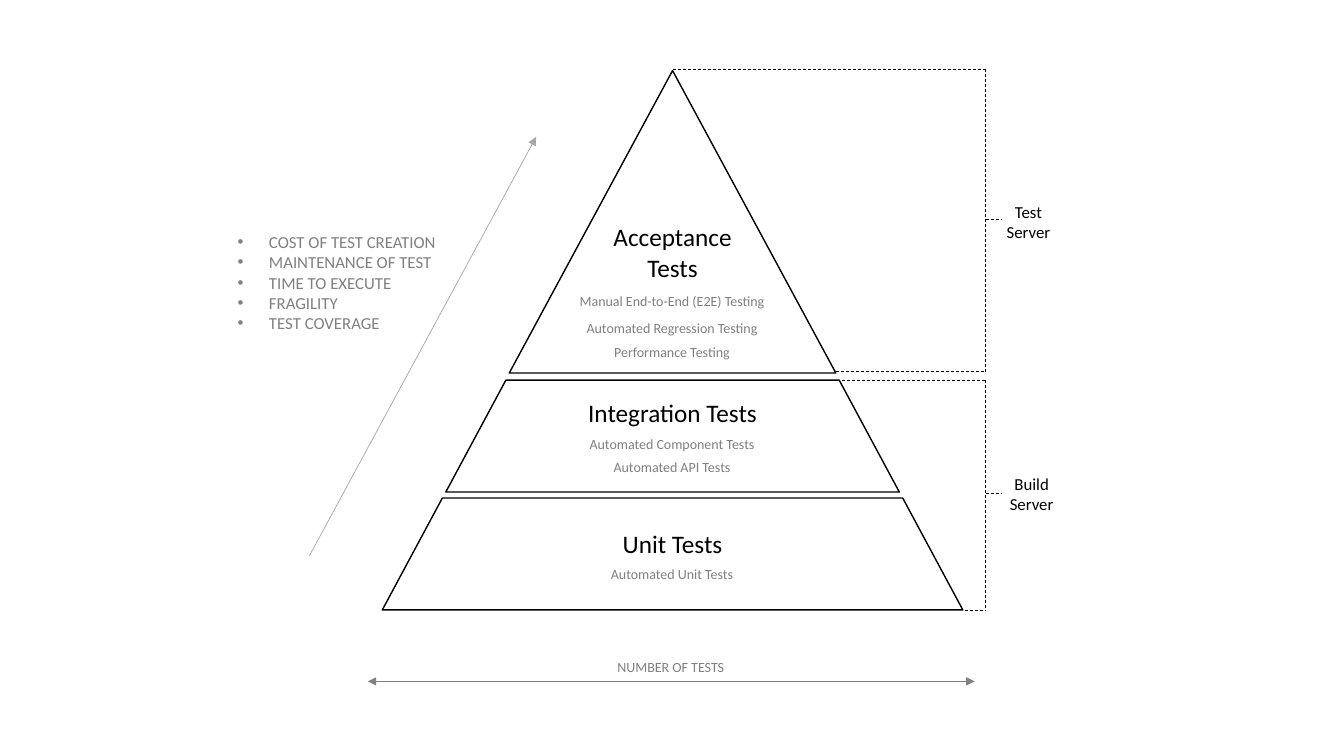
from lxml.etree import SubElement
from pptx import Presentation
from pptx.dml.color import RGBColor
from pptx.enum.dml import MSO_LINE
from pptx.enum.shapes import MSO_CONNECTOR, MSO_SHAPE
from pptx.enum.text import MSO_ANCHOR, MSO_AUTO_SIZE, PP_ALIGN
from pptx.oxml.ns import qn
from pptx.util import Cm, Pt

COLORS = {"ink": "000000", "muted": "808080", "slope": "A6A6A6"}
AXIS = 16.95
BRACKET_X = 24.84

presentation = Presentation()
presentation.slide_width, presentation.slide_height = Cm(33.87), Cm(19.05)
slide = presentation.slides.add_slide(presentation.slide_layouts[6])


def write(frame, lines, size, color, align=PP_ALIGN.CENTER):
    """Put each line in its own paragraph of the text frame."""
    frame.word_wrap = True
    font_format = {"name": "Calibri", "size": Pt(size), "bold": False}
    for index, line in enumerate(lines):
        paragraph = frame.paragraphs[0] if index == 0 else frame.add_paragraph()
        paragraph.alignment = align
        run = paragraph.add_run()
        run.text = line
        for attribute, value in font_format.items():
            setattr(run.font, attribute, value)
        run.font.color.rgb = RGBColor.from_string(COLORS[color])


def draw_line(start, end, color, dashed=False, arrowheads=()):
    connector = slide.shapes.add_connector(
        MSO_CONNECTOR.STRAIGHT, *(Cm(length) for length in (*start, *end)))
    connector.line.color.rgb = RGBColor.from_string(COLORS[color])
    connector.line.width = Pt(0.5)
    if dashed:
        connector.line.dash_style = MSO_LINE.DASH
    for arrowhead in arrowheads:
        SubElement(connector.line._get_or_add_ln(), qn(f"a:{arrowhead}"), type="triangle")
    SubElement(connector._element.spPr, qn("a:effectLst"))


# Pyramid: preset, title, top, width, height, space above the title
tiers = [
    (MSO_SHAPE.ISOSCELES_TRIANGLE, "Acceptance Tests", 1.78, 8.23, 7.62, 0),
    (MSO_SHAPE.TRAPEZOID, "Integration Tests", 9.58, 11.43, 2.82, 0.18),
    (MSO_SHAPE.TRAPEZOID, "Unit Tests", 12.55, 14.63, 2.82, 0.58),
]
for preset, title, top, width, height, space_above in tiers:
    tier = slide.shapes.add_shape(
        preset, Cm(AXIS - width / 2), Cm(top), Cm(width), Cm(height))
    if preset == MSO_SHAPE.TRAPEZOID:
        tier.adjustments[0] = 0.537
    tier.shadow.inherit = False
    tier.fill.background()
    tier.line.color.rgb = RGBColor.from_string(COLORS["ink"])
    tier.line.width = Pt(1)
    title_format = {"vertical_anchor": MSO_ANCHOR.TOP,
                    "margin_top": Cm(space_above), "margin_bottom": 0}
    for attribute, value in title_format.items():
        setattr(tier.text_frame, attribute, value)
    write(tier.text_frame, [title], 18, "ink")

# Labels: lines, left, top, width, height, size, colour
details = {
    "Manual End-to-End (E2E) Testing": 7.24,
    "Automated Regression Testing": 7.92,
    "Performance Testing": 8.53,
    "Automated Component Tests": 10.85,
    "Automated API Tests": 11.43,
    "Automated Unit Tests": 14.12,
}
labels = [([detail], 14, top, 5.87, 0.69, 10, "muted") for detail, top in details.items()]
labels += [
    (["NUMBER OF TESTS"], 9.27, 16.48, 15.27, 0.69, 10, "muted"),
    (["Test", "Server"], 24.74, 4.95, 2.36, 1.27, 12, "ink"),
    (["Build", "Server"], 24.82, 11.81, 2.36, 1.27, 12, "ink"),
]
for lines, left, top, width, height, size, color in labels:
    label = slide.shapes.add_textbox(Cm(left), Cm(top), Cm(width), Cm(height))
    write(label.text_frame, lines, size, color)
    label.text_frame.auto_size = MSO_AUTO_SIZE.SHAPE_TO_FIT_TEXT

# Factors that grow towards the top
factors = slide.shapes.add_textbox(Cm(5.74), Cm(5.72), Cm(6.4), Cm(2.82))
write(factors.text_frame,
      ["COST OF TEST CREATION", "MAINTENANCE OF TEST", "TIME TO EXECUTE",
       "FRAGILITY", "TEST COVERAGE"],
      12, "muted", PP_ALIGN.LEFT)
factors.text_frame.auto_size = MSO_AUTO_SIZE.SHAPE_TO_FIT_TEXT
for factor in factors.text_frame.paragraphs:
    properties = factor._p.get_or_add_pPr()
    properties.set("marL", str(Cm(0.79)))
    properties.set("indent", str(-Cm(0.79)))
    SubElement(properties, qn("a:buFont"), typeface="Arial")
    SubElement(properties, qn("a:buChar"), char="•")

draw_line((7.8, 14), (13.51, 3.45), "slope", arrowheads=["tailEnd"])
draw_line((9.27, 17.17), (24.56, 17.17), "muted", arrowheads=["headEnd", "tailEnd"])

# Server brackets: top, its left end, bottom, its left end, height of the tick
brackets = [
    (1.75, 16.97, 9.37, 21.08, 5.54),
    (9.58, 21.23, 15.37, 24.33, 12.42),
]
for top, top_left, bottom, bottom_left, tick in brackets:
    for start, end in [
        ((top_left, top), (BRACKET_X, top)),
        ((bottom_left, bottom), (BRACKET_X, bottom)),
        ((BRACKET_X, top), (BRACKET_X, bottom)),
        ((BRACKET_X, tick), (25.25, tick)),
    ]:
        draw_line(start, end, "ink", dashed=True)

presentation.save("out.pptx")
